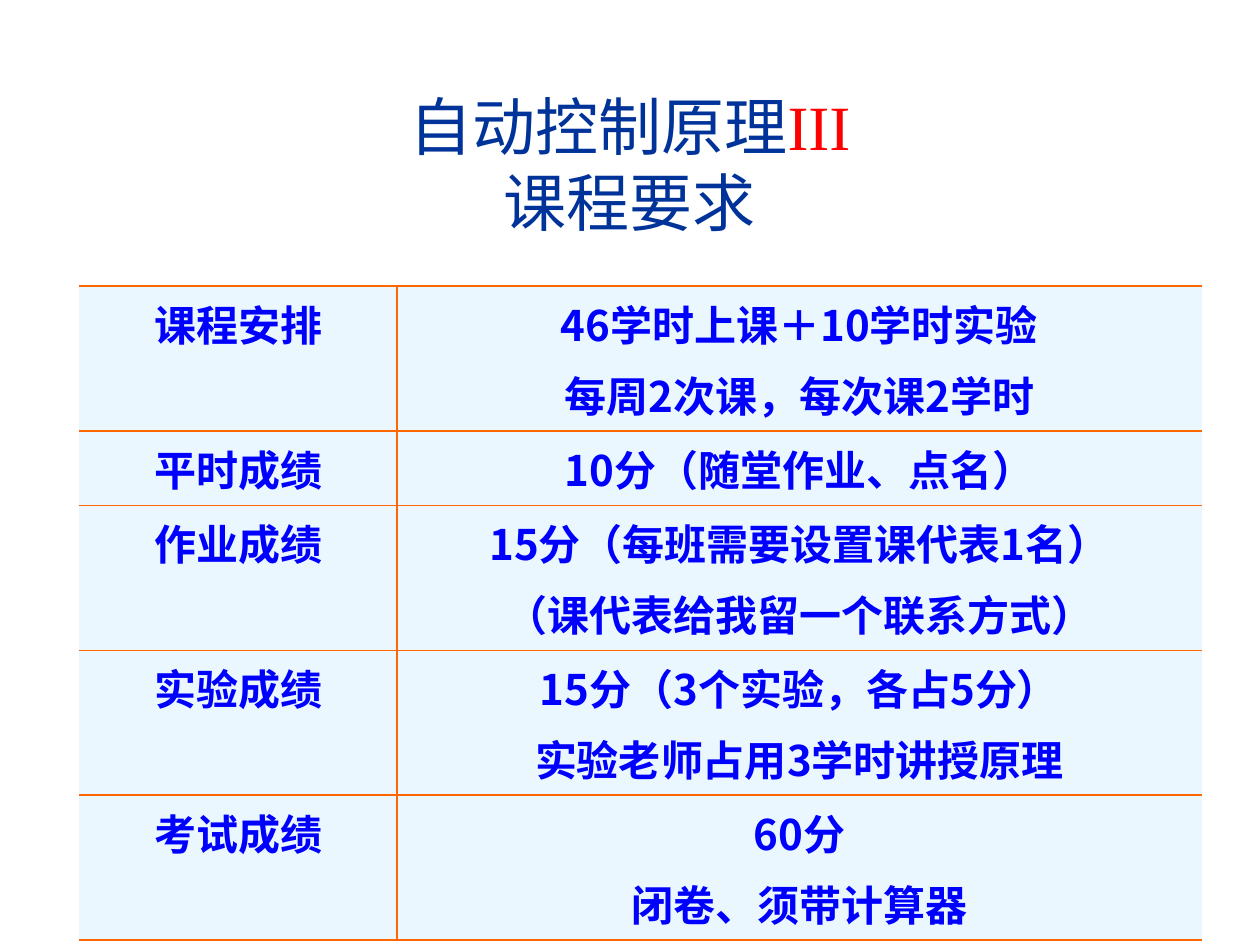
from lxml import etree
from pptx import Presentation
from pptx.dml.color import RGBColor
from pptx.enum.text import MSO_ANCHOR, PP_ALIGN
from pptx.oxml.ns import qn
from pptx.util import Cm, Pt

CENTER = PP_ALIGN.CENTER
MIDDLE = MSO_ANCHOR.MIDDLE
NAVY = RGBColor(0x00, 0x33, 0x99)
RED = RGBColor(0xFF, 0x00, 0x00)
BLUE = RGBColor(0x00, 0x00, 0xFF)
PALE_BLUE = RGBColor(0xEB, 0xF7, 0xFF)
ORANGE = RGBColor(0xFF, 0x66, 0x00)
BORDER_WIDTH = Pt(1.08)


def style_span(span, font_name, size, color, bold=False):
    """Format a run, using the font for Latin and East Asian text alike."""
    span.font.name = font_name
    span.font.size = Pt(size)
    span.font.bold = bold
    span.font.color.rgb = color
    east_asian = etree.SubElement(span.font._element, qn("a:ea"))
    east_asian.set("typeface", font_name)


def set_borders(cell, visible_sides):
    """Draw the named sides (L, R, T, B) in orange and clear the others."""
    properties = cell._tc.get_or_add_tcPr()
    for side in "LRTB":
        line = etree.SubElement(properties, qn(f"a:ln{side}"), w=str(BORDER_WIDTH))
        if side in visible_sides:
            fill = etree.SubElement(line, qn("a:solidFill"))
            etree.SubElement(fill, qn("a:srgbClr"), val=str(ORANGE))
        else:
            etree.SubElement(line, qn("a:noFill"))


deck = Presentation()
deck.slide_width = Cm(25.4)
deck.slide_height = Cm(19.05)
page = deck.slides.add_slide(deck.slide_layouts[6])

# Title
title_box = page.shapes.add_textbox(Cm(0.84), Cm(1.7), Cm(23.72), Cm(3.18))
title_frame = title_box.text_frame
title_frame.word_wrap = True
title_frame.vertical_anchor = MIDDLE
title_para = title_frame.paragraphs[0]
title_para.alignment = CENTER
for text, font_name, color in [
    ("自动控制原理", "Arial", NAVY),
    ("III", "Times New Roman", RED),
    ("课程要求", "Arial", NAVY),
]:
    if text == "课程要求":
        title_para.add_line_break()
    span = title_para.add_run()
    span.text = text
    style_span(span, font_name, 36, color)

# Course requirements
requirements = [
    ("课程安排", "46学时上课＋10学时实验\n每周2次课，每次课2学时"),
    ("平时成绩", "10分（随堂作业、点名）"),
    ("作业成绩", "15分（每班需要设置课代表1名）\n（课代表给我留一个联系方式）"),
    ("实验成绩", "15分（3个实验，各占5分）\n实验老师占用3学时讲授原理"),
    ("考试成绩", "60分\n闭卷、须带计算器"),
]
table = page.shapes.add_table(
    len(requirements), 2, Cm(1.6), Cm(5.77), Cm(22.63), Cm(13.18)
).table
table.first_row = False
table.horz_banding = False
table.columns[0].width = Cm(6.4)
table.columns[1].width = Cm(16.23)

for row_index, row_texts in enumerate(requirements):
    table.rows[row_index].height = Cm(2.92 if "\n" in row_texts[1] else 1.5)
    for column_index, text in enumerate(row_texts):
        cell = table.cell(row_index, column_index)
        set_borders(cell, "RTB" if column_index == 0 else "LTB")
        cell.fill.solid()
        cell.fill.fore_color.rgb = PALE_BLUE
        cell.text_frame.text = text
        for para_index, para in enumerate(cell.text_frame.paragraphs):
            para.alignment = CENTER
            para.space_before = Pt(6 if para_index else 0)
            style_span(para.runs[0], "Noto Sans CJK JP", 24, BLUE, bold=True)

deck.save("out.pptx")
